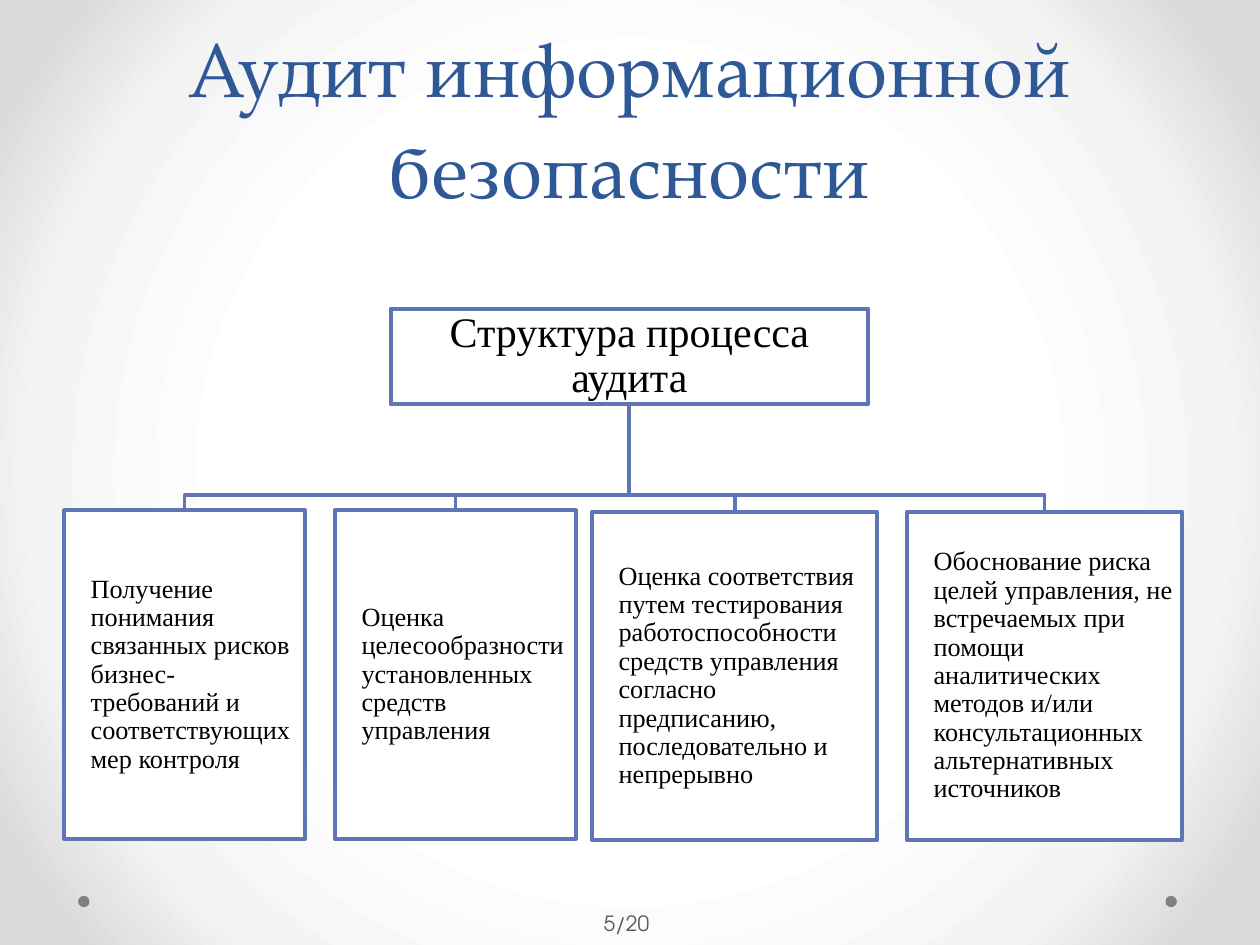
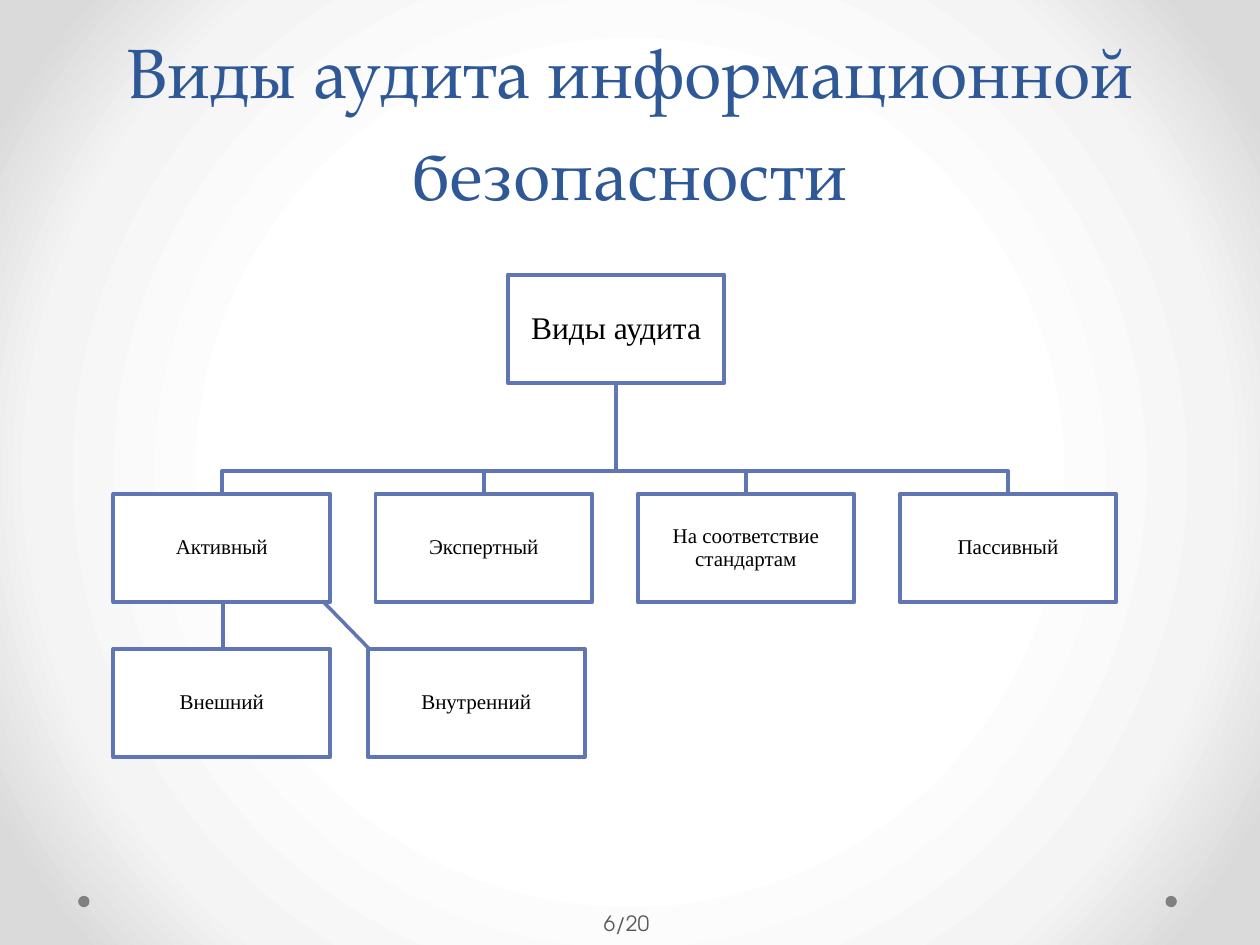
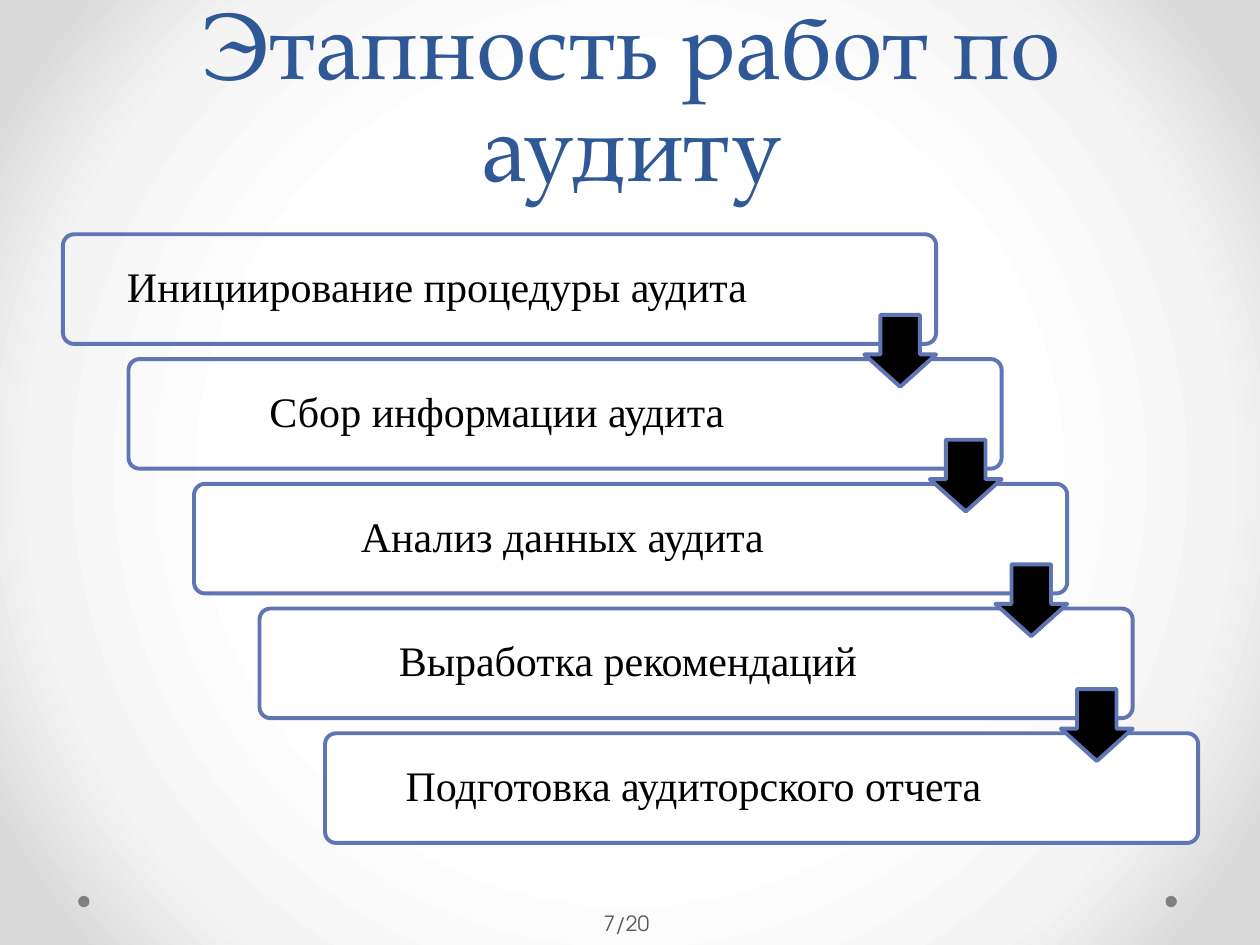
import pptx
import pptx.util
import pptx.dml.color
import pptx.enum.shapes
import pptx.enum.text
import pptx.oxml
import pptx.oxml.ns
from lxml import etree

Inches, Pt = pptx.util.Inches, pptx.util.Pt
SHAPE = pptx.enum.shapes.MSO_SHAPE
ALIGN = pptx.enum.text.PP_ALIGN
ANCHOR = pptx.enum.text.MSO_ANCHOR

# Shared style
BLUE, NAVY, WHITE, BLACK = "6076B4", "2F5897", "FFFFFF", "000000"
GRAY, SLATE = "808080", "595959"
SERIF, HEAD, SANS = "Times New Roman", "TeX Gyre Pagella", "TeX Gyre Adventor"
EDGE = Pt(2.25)


def paint(fill, color):
    """Fill a shape, a line or a font; None leaves it empty."""
    if color is None:
        fill.background()
    else:
        fill.solid()
        fill.fore_color.rgb = pptx.dml.color.RGBColor.from_string(color)


def write(shape, text, size=12, font=SERIF, color=BLACK, align=ALIGN.CENTER,
          anchor=ANCHOR.MIDDLE, space=0.9, pad=(0.01, 0.01, 0.01, 0.01)):
    frame = shape.text_frame
    frame.word_wrap = True
    frame.auto_size = pptx.enum.text.MSO_AUTO_SIZE.NONE
    frame.vertical_anchor = anchor
    (frame.margin_left, frame.margin_top,
     frame.margin_right, frame.margin_bottom) = map(Inches, pad)
    para = frame.paragraphs[0]
    para.alignment, para.line_spacing = align, space
    run = para.add_run()
    run.text = text
    run.font.size, run.font.name = Pt(size), font
    paint(run.font.fill, color)


prs = pptx.Presentation()
prs.slide_width, prs.slide_height = Inches(10), Inches(7.5)
master = prs.slide_master

# Master background: radial gradient
master.background.fill.gradient()
grad = master.element.find(".//" + pptx.oxml.ns.qn("a:gradFill"))
stops = "".join(
    f'<a:gs pos="{pos}000"><a:srgbClr val="{tone}"/></a:gs>'
    for pos, tone in ((50, WHITE), (76, "F4F4F4"), (92, "DADADA")))
radial = pptx.oxml.parse_xml(
    f'<a:gradFill {pptx.oxml.ns.nsdecls("a")} rotWithShape="1">'
    f'<a:gsLst>{stops}</a:gsLst><a:path path="circle">'
    '<a:fillToRect l="50000" t="50000" r="50000" b="50000"/>'
    '</a:path></a:gradFill>')
grad.getparent().replace(grad, radial)

# Slides with title and page number
heads = [
    ("Аудит информационной безопасности", 44, (0.5, 0, 9, 1.75)),
    ("Виды аудита информационной безопасности", 40, (0.5, 0, 9, 1.75)),
    ("Этапность работ по аудиту", 54, (0.51, 0.02, 9, 1.62)),
]
slides = []
for page, (text, size, spot) in enumerate(heads, 5):
    slide = prs.slides.add_slide(prs.slide_layouts[5])
    slides.append(slide)
    title = slide.shapes.title
    title.left, title.top, title.width, title.height = map(Inches, spot)
    write(title, text, size=size, font=HEAD, color=NAVY, space=Pt(58),
          anchor=ANCHOR.BOTTOM, pad=(0.1, 0.05, 0.1, 0.05))
    foot = slide.shapes.add_textbox(*map(Inches, (4.69, 7.13, 0.61, 0.4)))
    write(foot, f"{page}/20", font=SANS, color=SLATE, space=1.0,
          pad=(0.05, 0.05, 0.1, 0.05))

# Corner dots, moved to the master
for num, left in enumerate((9.25, 0.62), 20):
    dot = slides[0].shapes.add_shape(
        SHAPE.OVAL, *map(Inches, (left, 7.11, 0.09, 0.09)))
    dot.shadow.inherit = False
    paint(dot.fill, GRAY)
    paint(dot.line.fill, None)
    dot.element.xpath(".//p:cNvPr")[0].set("id", str(num))
    master.shapes.element.append(dot.element)

# Trees: root and children as (text, box), then loose boxes and links
goals = [
    ("Получение понимания связанных рисков бизнес-требований и "
     "соответствующих мер контроля", (0.51, 4.05, 1.91, 2.61)),
    ("Оценка целесообразности установленных средств управления",
     (2.66, 4.05, 1.91, 2.61)),
    ("Оценка соответствия путем тестирования работоспособности средств "
     "управления согласно предписанию, последовательно и непрерывно",
     (4.7, 4.06, 2.26, 2.61)),
    ("Обоснование риска целей управления, не встречаемых при помощи "
     "аналитических методов и/или консультационных альтернативных "
     "источников", (7.2, 4.06, 2.18, 2.61)),
]
names = ["Активный", "Экспертный", "На соответствие стандартам", "Пассивный"]
kinds = [(name, (0.9 + 2.08 * i, 3.92, 1.72, 0.86))
         for i, name in enumerate(names)]
parts = [("Внешний", (0.9, 5.15, 1.72, 0.86)),
         ("Внутренний", (2.92, 5.15, 1.72, 0.86))]
links = [(2.56, 4.77, 2.95, 5.17), (1.77, 4.74, 1.77, 5.14)]
left = dict(size=15, align=ALIGN.LEFT, pad=(0.21, 0.01, 0.01, 0.01))
trees = [
    (("Структура процесса аудита", (3.1, 2.45, 3.79, 0.76)),
     24, 3.93, goals, left, [], []),
    (("Виды аудита", (4.03, 2.18, 1.72, 0.86)),
     18, 3.74, kinds, dict(size=12), parts, links),
]
for slide, (root, size, bus, kids, style, extra, ties) in zip(slides, trees):
    shapes = slide.shapes
    for ends in ties:
        tie = shapes.add_connector(
            pptx.enum.shapes.MSO_CONNECTOR.STRAIGHT, *map(Inches, ends))
        paint(tie.line.fill, BLUE)
        tie.line.width = Pt(2)
        etree.SubElement(tie.element.spPr, pptx.oxml.ns.qn("a:effectLst"))

    # Elbow branches from the root to each child
    x, y, w, h = root[1]
    mid = x + w / 2
    for _, (kx, ky, kw, _) in kids:
        end = kx + kw / 2
        pen = shapes.build_freeform(Inches(mid), Inches(y + h))
        pen.add_line_segments(
            [(Inches(px), Inches(py))
             for px, py in ((mid, bus), (end, bus), (end, ky))], close=False)
        branch = pen.convert_to_shape()
        branch.shadow.inherit = False
        paint(branch.fill, None)
        paint(branch.line.fill, BLUE)
        branch.line.width = EDGE

    # Boxes
    for text, spot in [root] + kids + extra:
        box = shapes.add_shape(SHAPE.RECTANGLE, *map(Inches, spot))
        box.shadow.inherit = False
        paint(box.fill, WHITE)
        paint(box.line.fill, BLUE)
        box.line.width = EDGE
        write(box, text, **(dict(size=size) if text == root[0] else style))

# Staircase of stages, text kept clear of the arrows
shapes = slides[2].shapes
steps = [
    ("Инициирование процедуры аудита", None, 1.09),
    ("Сбор информации аудита", None, 1.18),
    ("Анализ данных аудита", WHITE, 1.18),
    ("Выработка рекомендаций", WHITE, 1.18),
    ("Подготовка аудиторского отчета", WHITE, 1.18),
]
DX, DY = 0.52, 0.99
for i, (text, fill, gap) in enumerate(steps):
    step = shapes.add_shape(
        SHAPE.ROUNDED_RECTANGLE,
        *map(Inches, (0.5 + DX * i, 1.86 + DY * i, 6.93, 0.87)))
    step.adjustments[0] = 0.1
    step.shadow.inherit = False
    paint(step.fill, fill)
    paint(step.line.fill, BLUE)
    step.line.width = EDGE
    write(step, text, size=24, pad=(0.1, 0.1, gap, 0.1))

# Arrows between stages
for i in range(len(steps) - 1):
    arrow = shapes.add_shape(
        SHAPE.DOWN_ARROW,
        *map(Inches, (6.86 + DX * i, 2.5 + DY * i, 0.57, 0.57)))
    arrow.adjustments[0], arrow.adjustments[1] = 0.55, 0.45
    arrow.shadow.inherit = False
    paint(arrow.fill, BLACK)
    paint(arrow.line.fill, BLUE)
    arrow.line.width = EDGE

prs.save("out.pptx")
